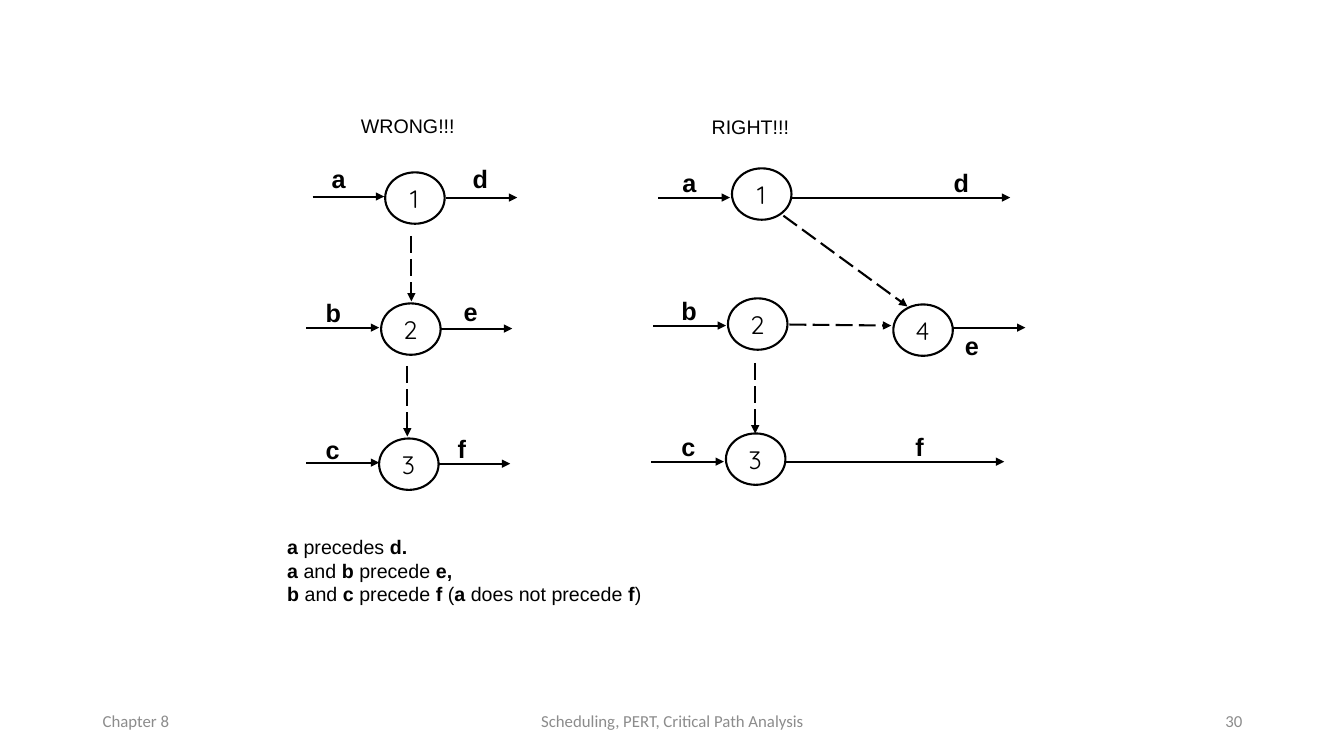
from pptx import Presentation
from pptx.dml.color import RGBColor
from pptx.enum import dml, shapes, text
from pptx.oxml import ns
from pptx.util import Inches, Pt
from lxml import etree

BLACK = "000000"
GREY = "8C8C8C"
LEFT, MID, RIGHT = text.PP_ALIGN.LEFT, text.PP_ALIGN.CENTER, text.PP_ALIGN.RIGHT

NODES = [
    ("1", 3.82, 1.71), ("2", 3.78, 3.01), ("3", 3.76, 4.35),
    ("1", 7.26, 1.67), ("2", 7.22, 2.96), ("3", 7.2, 4.3), ("4", 8.86, 3.02),
]
TASKS = [
    (3.1, 1.95, 0.71), (4.42, 1.96, 0.71),
    (3.04, 3.25, 0.72), (4.37, 3.26, 0.71),
    (3.04, 4.59, 0.72), (4.34, 4.6, 0.72),
    (6.53, 1.96, 0.71), (7.86, 1.96, 2.16),
    (6.48, 3.23, 0.72), (9.45, 3.25, 0.72),
    (6.46, 4.58, 0.72), (7.8, 4.58, 2.16),
]
DUMMIES = [
    (4.08, 2.34, 4.08, 2.99), (4.04, 3.63, 4.04, 4.33),
    (7.83, 3.22, 8.84, 3.23), (7.49, 3.6, 7.49, 4.3), (7.77, 2.14, 9, 3.04),
]
LABELS = [
    ("a", 3.19, 1.57), ("d", 4.59, 1.57), ("b", 3.13, 2.9),
    ("e", 4.5, 2.89), ("c", 3.13, 4.26), ("f", 4.44, 4.25),
    ("a", 6.67, 1.61), ("d", 9.36, 1.61), ("b", 6.66, 2.88),
    ("e", 9.47, 3.23), ("c", 6.66, 4.23), ("f", 8.98, 4.23),
]
RULES = [
    [("a ", True), ("precedes ", False), ("d.", True)],
    [("a", True), (" and ", False), ("b ", True), ("precede ", False), ("e,", True)],
    [("b ", True), ("and ", False), ("c ", True), ("precede ", False), ("f ", True),
     ("(", False), ("a", True), (" does not precede ", False), ("f", True), (")", False)],
]
FOOTER = [
    ("Chapter 8", 0.92, 3, LEFT),
    ("Scheduling, PERT, Critical Path Analysis", 4.42, 4.5, MID),
    ("30", 9.42, 3, RIGHT),
]


def tint(code):
    return RGBColor.from_string(code)


def write(slide, box, lines, size, font="Arial", color=BLACK, align=LEFT,
          anchor=text.MSO_ANCHOR.TOP):
    frame = slide.shapes.add_textbox(*map(Inches, box)).text_frame
    frame.word_wrap = True
    frame.vertical_anchor = anchor
    for i, line in enumerate(lines):
        para = frame.add_paragraph() if i else frame.paragraphs[0]
        para.alignment = align
        for words, bold in line:
            run = para.add_run()
            run.text = words
            run.font.name = font
            run.font.size = Pt(size)
            run.font.bold = bold
            run.font.color.rgb = tint(color)


def ink(line):
    line.color.rgb = tint(BLACK)
    line.width = Pt(1.5)


def node(slide, name, x, y):
    oval = slide.shapes.add_shape(
        shapes.MSO_SHAPE.OVAL, Inches(x), Inches(y), Inches(0.59), Inches(0.51))
    oval.shadow.inherit = False
    oval.fill.background()
    ink(oval.line)
    write(slide, (x - 0.02, y + 0.06, 0.62, 0.5), [[(name, False)]], 18,
          "Quicksand", align=MID)


def arrow(slide, ends, dash=False):
    link = slide.shapes.add_connector(
        shapes.MSO_CONNECTOR.STRAIGHT, *map(Inches, ends))
    ink(link.line)
    if dash:
        link.line.dash_style = dml.MSO_LINE.LONG_DASH
    props = link._element.spPr
    tail = etree.SubElement(props.find(ns.qn("a:ln")), ns.qn("a:tailEnd"))
    tail.set("type", "triangle")
    etree.SubElement(props, ns.qn("a:effectLst"))


def main():
    deck = Presentation()
    deck.slide_width, deck.slide_height = Inches(13.33), Inches(7.5)
    slide = deck.slides.add_slide(deck.slide_layouts[6])

    for words, x, width, align in FOOTER:
        write(slide, (x, 6.95, width, 0.4), [[(words, False)]], 12, "Calibri",
              GREY, align, text.MSO_ANCHOR.MIDDLE)
    for name, x, y in NODES:
        node(slide, name, x, y)
    for x, y, length in TASKS:
        arrow(slide, (x, y, x + length, y))
    for ends in DUMMIES:
        arrow(slide, ends, dash=True)
    for name, x, y in LABELS:
        write(slide, (x, y, 0.49, 0.46), [[(name, True)]], 18)
    write(slide, (3.48, 1.08, 1.21, 0.39), [[("WRONG!!!", False)]], 14)
    write(slide, (6.96, 1.09, 1.17, 0.34), [[("RIGHT!!!", False)]], 14)
    write(slide, (2.75, 5.26, 6.88, 0.41), RULES, 14)

    deck.save("out.pptx")


if __name__ == "__main__":
    main()
